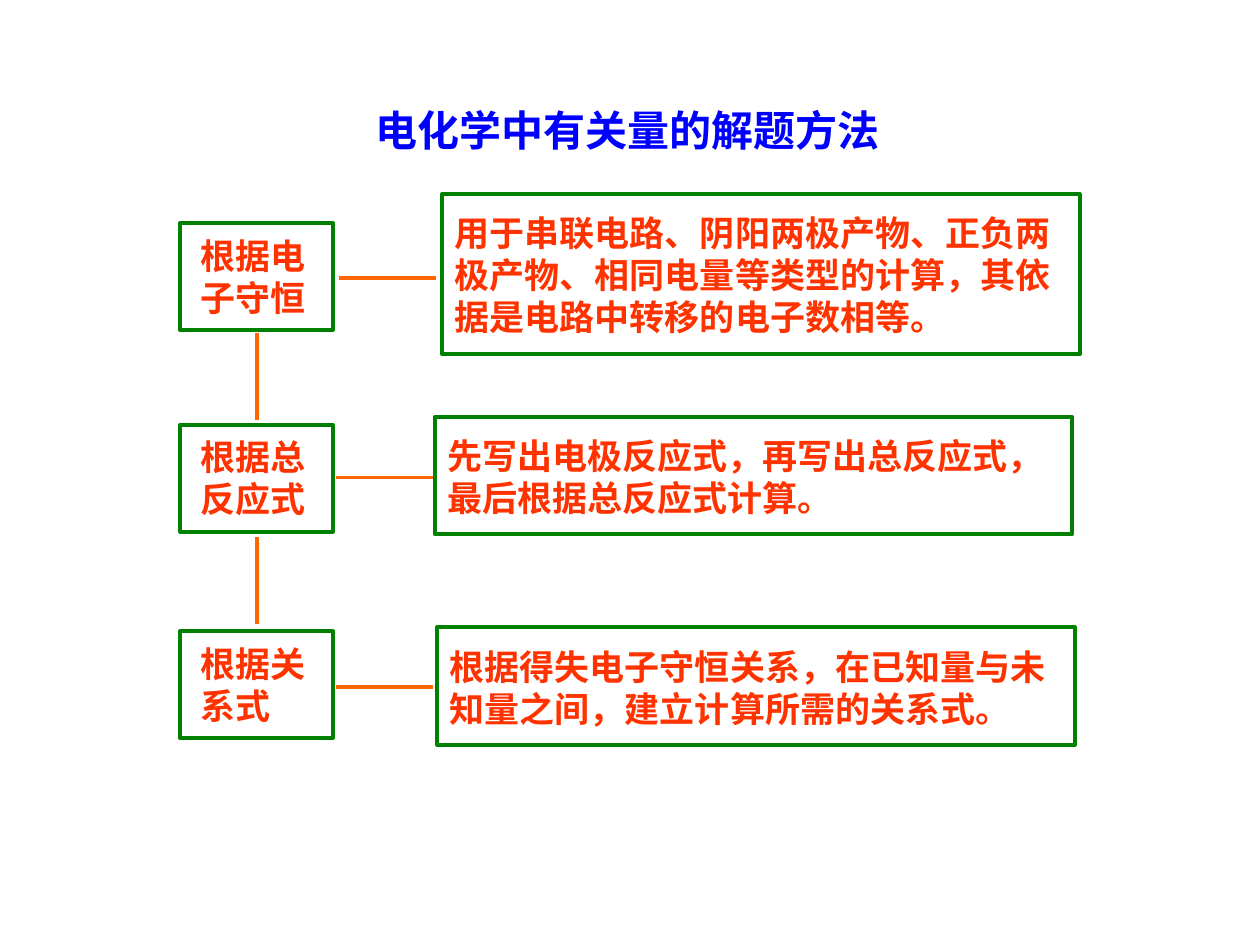
from lxml.etree import SubElement
from pptx import Presentation
from pptx.dml.color import RGBColor
from pptx.enum.shapes import MSO_CONNECTOR as Connector, MSO_SHAPE as Shape
from pptx.enum.text import MSO_AUTO_SIZE as AutoSize, PP_ALIGN as Align
from pptx.oxml.ns import qn
from pptx.util import Inches, Pt

BLUE = RGBColor(0x00, 0x00, 0xFF)
RED = RGBColor(0xFF, 0x33, 0x00)
GREEN = RGBColor(0x00, 0x80, 0x00)
ORANGE = RGBColor(0xFF, 0x66, 0x00)

SANS = "Noto Sans CJK SC"
SERIF = "Times New Roman"
LINE_WIDTH = Pt(2.25)

LABEL_LEFT, LABEL_WIDTH, LABEL_HEIGHT = 1.43, 1.21, 0.85
DETAIL_WIDTH, TEXT_WIDTH = 5.06, 5.13
LINK_LENGTH, STEM_X, STEM_LENGTH = 0.77, 2.04, 0.69

METHODS = [
    {
        "label": [("根据电", SANS, Align.LEFT), ("子守恒", SANS, Align.LEFT)],
        "label_top": 1.77,
        "detail": "用于串联电路、阴阳两极产物、正负两极产物、相同电量等类型的计算，其依据是电路中转移的电子数相等。",
        "detail_at": (3.51, 1.54, 1.27),
        "link": (2.69, 2.21),
    },
    {
        "label": [("根据总", SANS, Align.JUSTIFY), ("反应式", SERIF, Align.LEFT)],
        "label_top": 3.37,
        "detail": "先写出电极反应式，再写出总反应式，最后根据总反应式计算。",
        "detail_at": (3.45, 3.31, 0.93),
        "link": (2.67, 3.79),
    },
    {
        "label": [("根据关", SANS, Align.LEFT), ("系式", SANS, Align.LEFT)],
        "label_top": 5.01,
        "detail": "根据得失电子守恒关系，在已知量与未知量之间，建立计算所需的关系式。",
        "detail_at": (3.47, 4.98, 0.93),
        "link": (2.67, 5.45),
    },
]
STEM_TOPS = [2.64, 4.26]


def add_text(shapes, area, lines, size, color):
    box = shapes.add_textbox(*map(Inches, area))
    frame = box.text_frame
    frame.word_wrap = True
    frame.auto_size = AutoSize.SHAPE_TO_FIT_TEXT
    for index, (text, face, align) in enumerate(lines):
        para = frame.add_paragraph() if index else frame.paragraphs[0]
        para.alignment = align
        span = para.add_run()
        span.text = text
        for name, value in {"size": Pt(size), "bold": True, "name": face}.items():
            setattr(span.font, name, value)
        span.font.color.rgb = color
        SubElement(span.font._element, qn("a:ea"), typeface=SANS)


def add_frame(shapes, area):
    frame = shapes.add_shape(Shape.RECTANGLE, *map(Inches, area))
    frame.shadow.inherit = False
    frame.fill.background()
    frame.line.color.rgb = GREEN
    frame.line.width = LINE_WIDTH


def add_line(shapes, left, top, across=0, down=0):
    ends = (left, top, left + across, top + down)
    line = shapes.add_connector(Connector.STRAIGHT, *map(Inches, ends))
    line.line.color.rgb = ORANGE
    line.line.width = LINE_WIDTH
    SubElement(line._element.spPr, qn("a:effectLst"))


def add_label(page, top, lines):
    shapes = page.shapes.add_group_shape().shapes
    add_text(shapes, (LABEL_LEFT + 0.06, top + 0.04, 1.71, 0.77), lines, 20, RED)
    add_frame(shapes, (LABEL_LEFT, top, LABEL_WIDTH, LABEL_HEIGHT))


def add_detail(page, left, top, height, text):
    shapes = page.shapes.add_group_shape().shapes
    add_frame(shapes, (left, top, DETAIL_WIDTH, height))
    text_area = (left, top + 0.09, TEXT_WIDTH, height - 0.16)
    add_text(shapes, text_area, [(text, SANS, Align.LEFT)], 20, RED)


def main():
    deck = Presentation()
    deck.slide_width, deck.slide_height = Inches(10), Inches(7.5)
    page = deck.slides.add_slide(deck.slide_layouts[6])
    title = [("电化学中有关量的解题方法", SANS, Align.LEFT)]
    add_text(page.shapes, (2.88, 0.78, TEXT_WIDTH, 0.5), title, 24, BLUE)
    for method in METHODS:
        add_label(page, method["label_top"], method["label"])
        add_detail(page, *method["detail_at"], method["detail"])
        add_line(page.shapes, *method["link"], across=LINK_LENGTH)
    for top in STEM_TOPS:
        add_line(page.shapes, STEM_X, top, down=STEM_LENGTH)
    deck.save("out.pptx")


if __name__ == "__main__":
    main()
